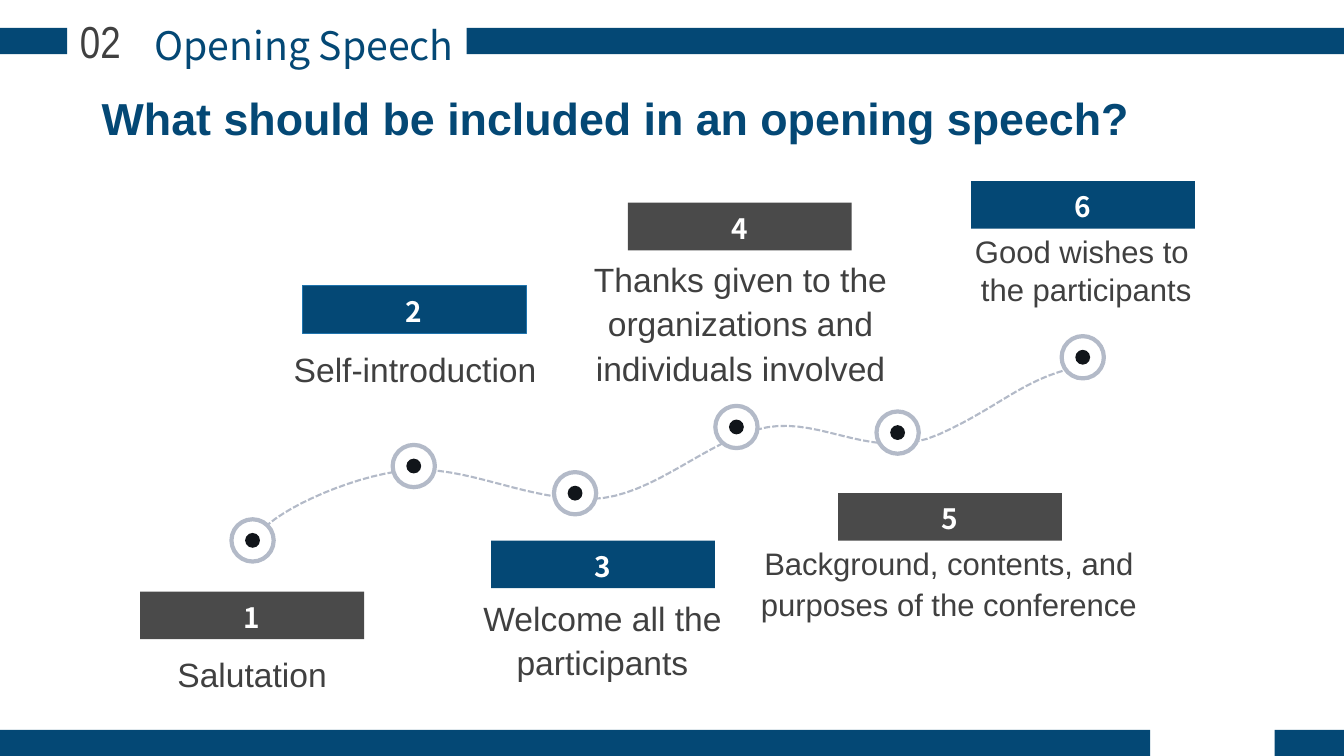
from pptx import Presentation
from pptx.util import Pt
from pptx.dml.color import RGBColor
from pptx.enum.dml import MSO_LINE as Dash
from pptx.enum.shapes import MSO_SHAPE as Kind
from pptx.enum.text import MSO_ANCHOR as Anchor, MSO_AUTO_SIZE as Fit, PP_ALIGN as Align

BLUE = RGBColor(0x04, 0x48, 0x75)
EDGE = RGBColor(0x1F, 0x74, 0xAD)
GRAY = RGBColor(0x4A, 0x4A, 0x4A)
TEXT = RGBColor(0x40, 0x40, 0x40)
RING = RGBColor(0xB3, 0xBA, 0xC8)
DOT = RGBColor(0x11, 0x15, 0x1A)
WHITE = RGBColor(0xFF, 0xFF, 0xFF)
SANS = "Noto Sans CJK SC"

deck = Presentation()
deck.slide_width, deck.slide_height = Pt(960.5), Pt(540)
slide = deck.slides.add_slide(deck.slide_layouts[5])
shapes = slide.shapes


def draw(kind, x, y, w, h, fill):
    shape = shapes.add_shape(kind, Pt(x), Pt(y), Pt(w), Pt(h))
    shape.shadow.inherit = False
    shape.fill.solid()
    shape.fill.fore_color.rgb = fill
    shape.line.fill.background()
    return shape


def write(shape, text, size, font, color, bold=False, space=1.0, align=Align.CENTER):
    frame = shape.text_frame
    frame.text = text
    frame.word_wrap = True
    frame.auto_size = Fit.NONE
    for para in frame.paragraphs:
        para.alignment = align
        para.line_spacing = space
        for run in para.runs:
            run.font.size = Pt(size)
            run.font.name = font
            run.font.bold = bold
            run.font.color.rgb = color


title = shapes.title
title.left, title.top, title.width, title.height = Pt(65.5), Pt(61.2), Pt(790), Pt(46)
title.text_frame.vertical_anchor = Anchor.TOP
write(title, "What should be included in an opening speech?", 32, "Arial", BLUE,
      bold=True, align=Align.LEFT)

for x, y, w in [(0, 20, 48), (333.5, 20, 627), (0, 521.3, 822), (911, 521.3, 49.5)]:
    draw(Kind.RECTANGLE, x, y, w, 18.7, BLUE)

heads = [
    ("Opening Speech", 92.9, 11.5, 249, 41, 28, SANS, BLUE),
    ("02", 43.2, 6.5, 57, 46, 32, "Arial Narrow", TEXT),
]
for text, x, y, w, h, size, font, color in heads:
    box = shapes.add_textbox(Pt(x), Pt(y), Pt(w), Pt(h))
    write(box, text, size, font, color)

start = (185.8, 380.9)
bends = [
    ((196.6, 364.3), (258.5, 336.2), (298.8, 335.5)),
    ((339.8, 335.5), (379.4, 357.8), (423.4, 356.4)),
    ((467.3, 355), (506.2, 313.2), (547.9, 305.3)),
    ((589, 298.1), (625, 330.5), (671, 310.3)),
    ((717.8, 289.4), (733.7, 267.1), (779.8, 260.6)),
]
steps = 16
points = []
last = start
for a, b, end in bends:
    for i in range(1, steps + 1):
        t = i / steps
        u = 1 - t
        points.append(tuple(
            Pt(u**3 * p + 3 * u * u * t * q + 3 * u * t * t * r + t**3 * s)
            for p, q, r, s in zip(last, a, b, end)))
    last = end
pen = shapes.build_freeform(Pt(start[0]), Pt(start[1]))
pen.add_line_segments(points, close=False)
curve = pen.convert_to_shape()
curve.shadow.inherit = False
curve.fill.background()
curve.line.color.rgb = RING
curve.line.width = Pt(1.5)
curve.line.dash_style = Dash.SQUARE_DOT

stops = [(180.5, 386), (295.7, 332.9), (411, 352.3), (526.3, 305), (641.5, 309), (773.8, 255.2)]
for x, y in stops:
    ring = draw(Kind.OVAL, x - 15.1, y - 15.1, 30.2, 30.2, WHITE)
    ring.line.color.rgb = RING
    ring.line.width = Pt(3)
    draw(Kind.OVAL, x - 5.3, y - 5.3, 10.6, 10.6, DOT)

cards = [
    (100.2, 422.6, GRAY, "Salutation", 100.2, 458, 160, 43, 24, 1.2),
    (216, 204.2, BLUE, "Self-introduction", 180.7, 239.8, 231.8, 42.5, 24, 1.2),
    (351, 386.1, BLUE, "Welcome all the participants", 331.9, 420.5, 197.3, 75.6, 24, 1.1),
    (448.7, 144.8, GRAY, "Thanks given to the organizations and individuals involved",
     385.2, 178.6, 288, 108, 24, 1.1),
    (599, 352.3, GRAY, "Background, contents, and purposes of the conference",
     532.1, 383, 292.3, 88.6, 22.2, 1.1),
    (694, 129.3, BLUE, "Good wishes to\n the participants",
     655.9, 162.7, 234.7, 63.4, 22.2, 1.0),
]
tags = []
for num, (x, y, fill, text, left, top, w, h, size, space) in enumerate(cards, 1):
    tag = draw(Kind.RECTANGLE, x, y, 160, 34, fill)
    tag.text_frame.vertical_anchor = Anchor.MIDDLE
    write(tag, str(num), 20, SANS, WHITE, bold=True, space=1.1)
    tags.append(tag)
    box = shapes.add_textbox(Pt(left), Pt(top), Pt(w), Pt(h))
    write(box, text, size, "Arial", TEXT, space=space)
tags[1].line.color.rgb = EDGE
tags[1].line.width = Pt(0.75)

deck.save("out.pptx")
